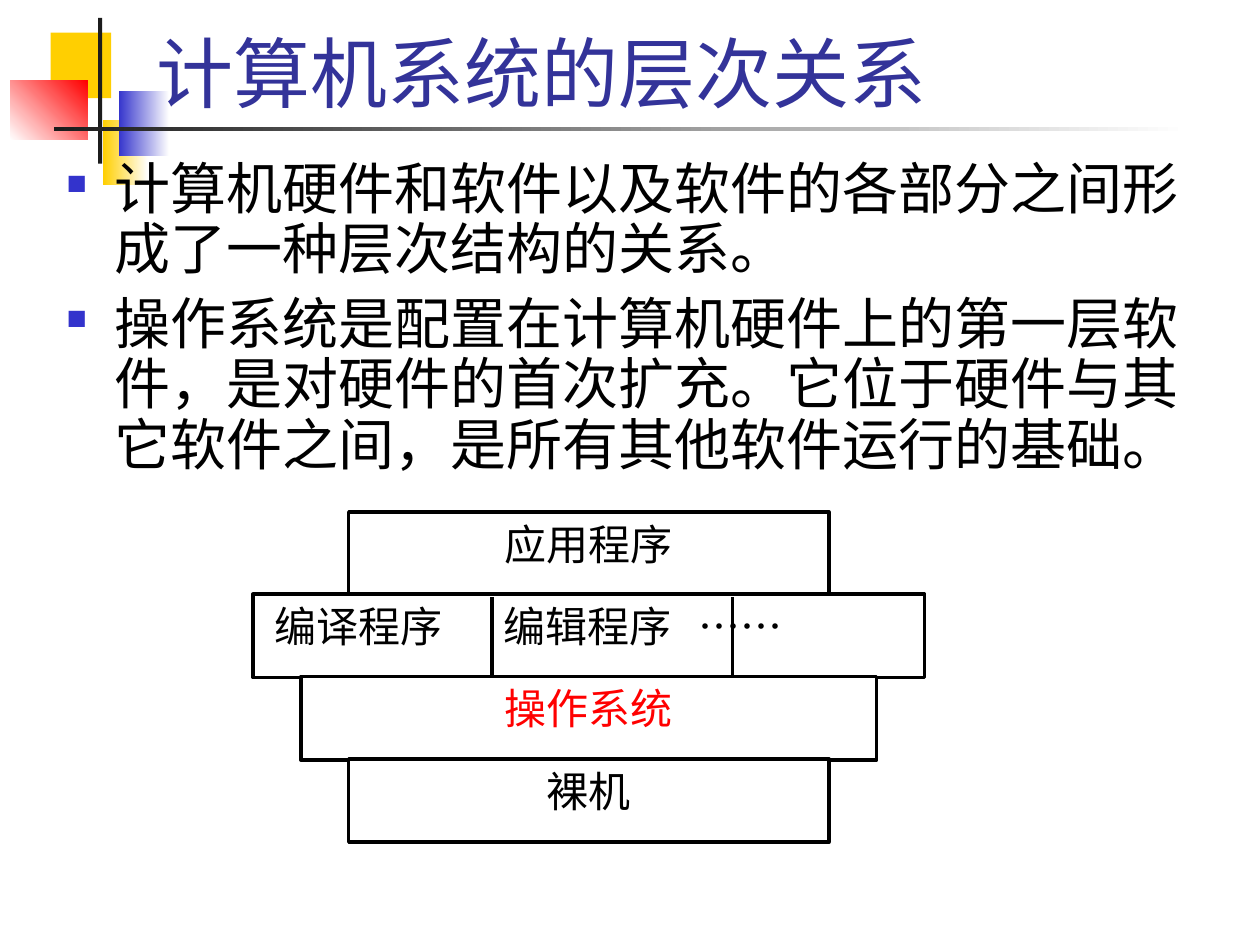
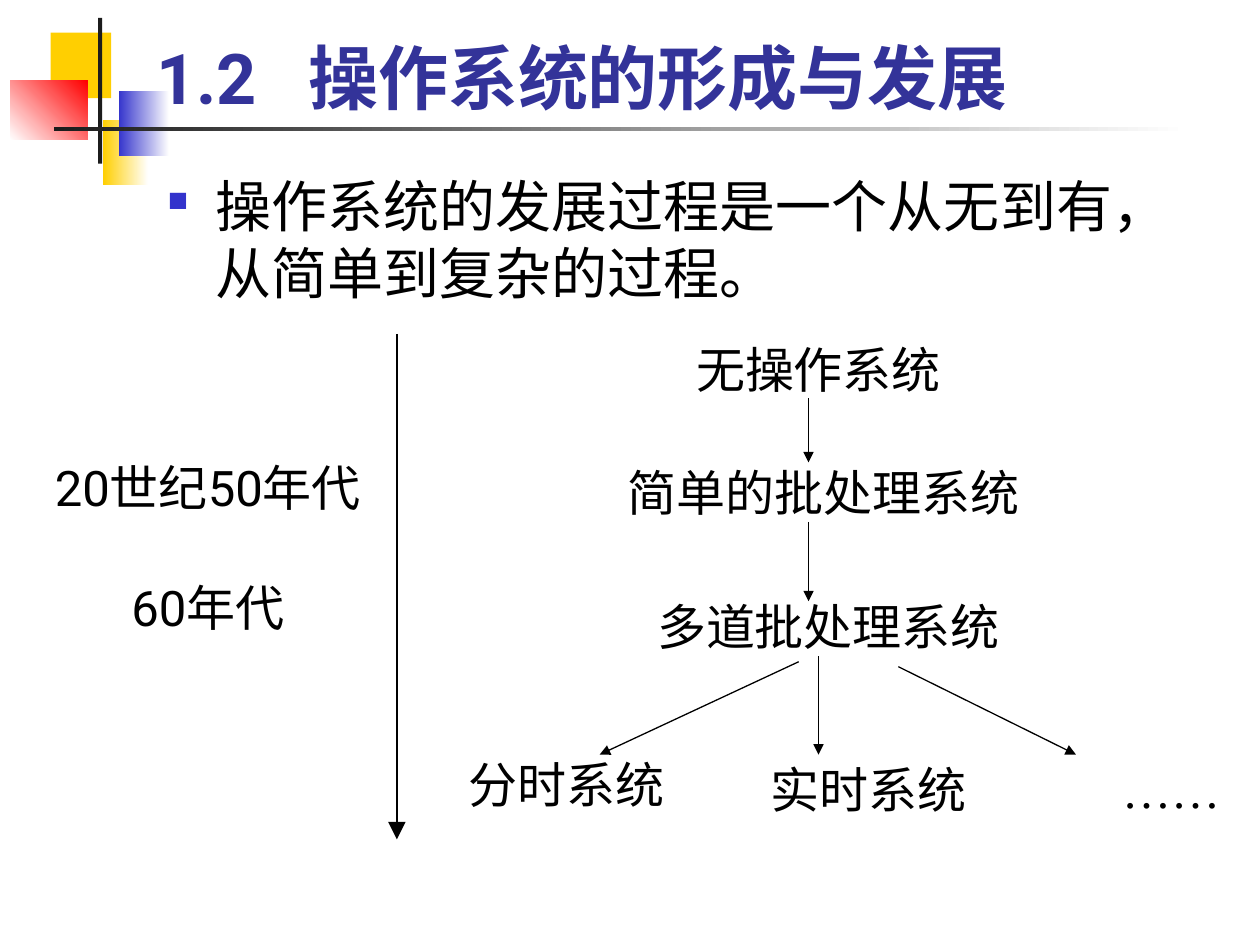
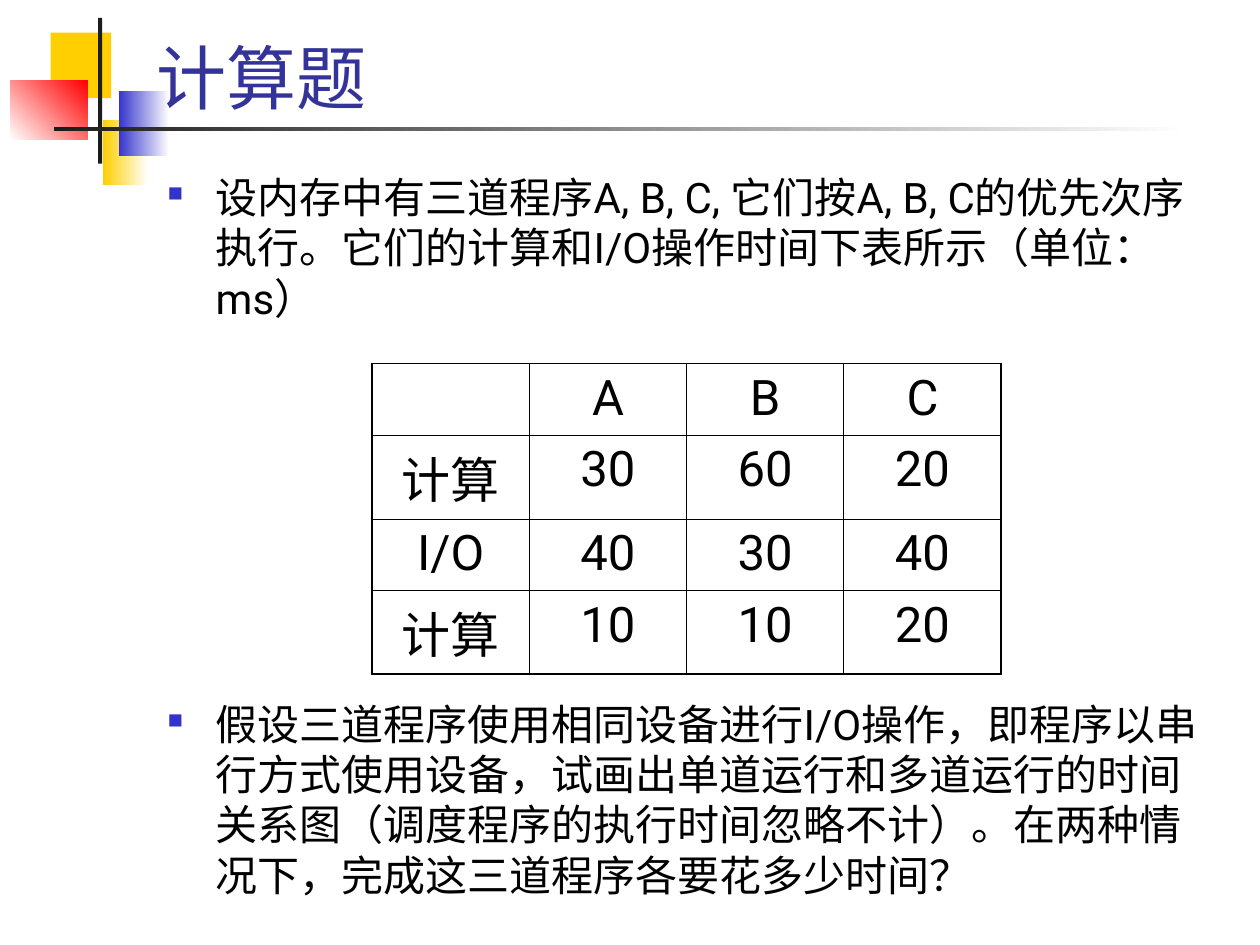
from lxml import etree
from pptx import Presentation
from pptx.dml.color import RGBColor
from pptx.enum.shapes import MSO_CONNECTOR, MSO_SHAPE
from pptx.enum.text import MSO_ANCHOR, MSO_AUTO_SIZE, PP_ALIGN
from pptx.oxml.ns import qn
from pptx.util import Cm, Pt

RECTANGLE = MSO_SHAPE.RECTANGLE
STRAIGHT = MSO_CONNECTOR.STRAIGHT
CENTER, LEFT = PP_ALIGN.CENTER, PP_ALIGN.LEFT
TOP, MIDDLE, BOTTOM = MSO_ANCHOR.TOP, MSO_ANCHOR.MIDDLE, MSO_ANCHOR.BOTTOM

SANS, CHINESE, SERIF = "Roboto", "Noto Sans CJK SC", "Times New Roman"
BLACK, WHITE, RED = "000000", "FFFFFF", "FF0000"
YELLOW, BLUE, NAVY, CHARCOAL = "FFCF01", "3333CC", "333399", "1C1C1C"
TITLE_BOX = (2.9, 0.53, 21.82, 1.98)
ORNAMENTS = [
    ((1.02, 0.66, 1.22, 1.32), [YELLOW], 0),
    ((2.08, 2.41, 0.91, 1.32), [YELLOW, WHITE], 0),
    ((2.39, 1.83, 1.02, 1.32), [BLUE, WHITE], 0),
    ((0.21, 1.63, 1.56, 1.19), [WHITE, RED], 45),
    ((1.98, 0.36, 0.08, 2.94), [CHARCOAL], 0),
    ((1.09, 2.57, 22.86, 0.08), [CHARCOAL, WHITE], 0),
]


def color(value):
    """Turn a hex string into a colour."""
    return RGBColor.from_string(value)


def lengths(values):
    """Turn numbers into lengths in centimetres."""
    return [Cm(value) for value in values]


def add_element(parent, tag, **attributes):
    """Append a drawing element with the given attributes."""
    return etree.SubElement(parent, qn(tag), attributes)


def format_runs(paragraph, size, latin=SANS, asian=SANS, fill=BLACK, bold=False):
    """Give every run of a paragraph its fonts, size and colour."""
    for run in paragraph.runs:
        font = run.font
        font.size, font.bold, font.name = Pt(size), bold, latin
        font.color.rgb = color(fill)
        add_element(run._r.get_or_add_rPr(), "a:ea", typeface=asian)


def set_tabs(paragraph, positions):
    """Set left tab stops in centimetres."""
    tabs = add_element(paragraph._p.get_or_add_pPr(), "a:tabLst")
    for position in positions:
        add_element(tabs, "a:tab", pos=str(Cm(position)), algn="l")


def set_bullet(paragraph):
    """Give a paragraph a hanging blue square."""
    properties = paragraph._p.get_or_add_pPr()
    properties.set("marL", str(Cm(0.97)))
    properties.set("indent", str(-Cm(0.97)))
    properties.set("hangingPunct", "0")
    bullet_color = add_element(properties, "a:buClr")
    add_element(bullet_color, "a:srgbClr", val=BLUE)
    add_element(properties, "a:buSzPct", val="50000")
    add_element(properties, "a:buChar", char="■")


def add_rectangle(slide, box, colors, angle=0):
    """Draw a plain or gradient rectangle without outline."""
    shape = slide.shapes.add_shape(RECTANGLE, *lengths(box))
    shape.shadow.inherit = False
    shape.line.fill.background()
    if len(colors) == 1:
        shape.fill.solid()
        shape.fill.fore_color.rgb = color(colors[0])
    else:
        shape.fill.gradient()
        shape.fill.gradient_angle = angle
        for stop, value in zip(shape.fill.gradient_stops, colors):
            stop.color.rgb = color(value)
    return shape


def add_line(slide, ends, width, head=None):
    """Draw a straight black line, with an arrowhead of the size asked for."""
    line = slide.shapes.add_connector(STRAIGHT, *lengths(ends))
    line.line.width = Pt(width)
    line.line.color.rgb = color(BLACK)
    if head:
        add_element(line.line._get_or_add_ln(), "a:tailEnd", type="triangle", w=head, len=head)
    add_element(line.element.spPr, "a:effectLst")


def decorate_layout(slide):
    """Build the ornaments and move them to the layout all slides share."""
    for box, colors, angle in ORNAMENTS:
        shape = add_rectangle(slide, box, colors, angle)
        slide.slide_layout.shapes.element.append(shape.element)


def add_title_slide(presentation, text, size=40, latin=SANS, bold=False):
    """Add a slide and format its title."""
    slide = presentation.slides.add_slide(presentation.slide_layouts[5])
    title = slide.shapes.title
    title.left, title.top, title.width, title.height = lengths(TITLE_BOX)
    frame = title.text_frame
    frame.text = text
    frame.word_wrap = True
    frame.auto_size = MSO_AUTO_SIZE.NONE
    frame.vertical_anchor = BOTTOM
    paragraph = frame.paragraphs[0]
    paragraph.alignment = LEFT
    if "\t" in text:
        set_tabs(paragraph, [3.06])
    format_runs(paragraph, size, latin, SANS, NAVY, bold)
    return slide


def add_bullets(slide, box, texts, size, spacing=1.0):
    """Write bulleted paragraphs in a box."""
    frame = slide.shapes.add_textbox(*lengths(box)).text_frame
    frame.word_wrap = True
    frame.text = "\n".join(texts)
    for index, paragraph in enumerate(frame.paragraphs):
        paragraph.line_spacing = spacing
        paragraph.space_before = Pt(8 if index else 0)
        set_bullet(paragraph)
        format_runs(paragraph, size)


def add_label(slide, center_x, center_y, text, font=SANS):
    """Write one unwrapped line centred on a point."""
    width, height = len(text) + 0.8, 0.99
    box = (center_x - width / 2, center_y - height / 2, width, height)
    frame = slide.shapes.add_textbox(*lengths(box)).text_frame
    frame.word_wrap = False
    frame.vertical_anchor = MIDDLE
    frame.text = text
    frame.paragraphs[0].alignment = CENTER
    format_runs(frame.paragraphs[0], 28, font, font)


def add_layer_stack(slide, left, top, width):
    """Stack the layers of a computer system, centred in the given width."""
    layers = [
        ("应用程序", 9.68, BLACK),
        ("编译程序\t编辑程序\t……", width, BLACK),
        ("操作系统", 11.61, RED),
        ("裸机", 9.68, BLACK),
    ]
    step, height = 1.66, 1.68
    for index, (text, layer_width, fill) in enumerate(layers):
        box = (left + (width - layer_width) / 2, top + index * step, layer_width, height)
        shape = add_rectangle(slide, box, [WHITE])
        shape.line.color.rgb = color(BLACK)
        shape.line.width = Pt(2)
        frame = shape.text_frame
        frame.vertical_anchor = TOP
        frame.text = text
        paragraph = frame.paragraphs[0]
        paragraph.alignment = CENTER
        if "\t" in text:
            paragraph.alignment = LEFT
            frame.margin_left = Cm(0.43)
            set_tabs(paragraph, [4.62, 8.56])
        format_runs(paragraph, 24, CHINESE, CHINESE, fill)
    for offset in (4.82, 9.67):
        x = left + offset
        add_line(slide, (x, top + step + 0.05, x, top + 2 * step), 2)


def add_evolution_flow(slide, left, top):
    """Draw how operating systems grew from none to several kinds."""
    labels = [
        (7.8, 0.43, "无操作系统", SANS),
        (7.9, 2.92, "简单的批处理系统", SANS),
        (8, 5.61, "多道批处理系统", SANS),
        (2.72, 8.81, "分时系统", SANS),
        (8.81, 8.91, "实时系统", SANS),
        (14.91, 8.91, "……", SERIF),
    ]
    arrows = [
        (7.6, 1.03, 7.6, 2.32),
        (7.6, 3.52, 7.6, 5.12),
        (7.4, 6.34, 3.39, 8.21),
        (7.8, 6.23, 7.8, 8.21),
        (9.41, 6.44, 12.99, 8.21),
    ]
    for x, y, text, font in labels:
        add_label(slide, left + x, top + y, text, font)
    for x1, y1, x2, y2 in arrows:
        add_line(slide, (left + x1, top + y1, left + x2, top + y2), 0.75, "med")


def add_timeline(slide, left, top):
    """Draw the time arrow with its decades on the left."""
    axis = left + 6.4
    add_line(slide, (axis, top, axis, top + 10.19), 1.5, "lg")
    add_label(slide, left + 2.59, top + 3.09, "20世纪50年代")
    add_label(slide, left + 2.59, top + 5.5, "60年代")


def set_borders(cell, thick_sides):
    """Draw a cell's borders, heavier on the given sides."""
    properties = cell._tc.get_or_add_tcPr()
    for side in "LRTB":
        width = Pt(1.08 if side in thick_sides else 0.45)
        border = add_element(properties, "a:ln" + side, w=str(width))
        fill = add_element(border, "a:solidFill")
        add_element(fill, "a:srgbClr", val=BLACK)


def add_time_table(slide, box):
    """Add the table of computing and I/O times."""
    rows = [
        ["", "A", "B", "C"],
        ["计算", "30", "60", "20"],
        ["I/O", "40", "30", "40"],
        ["计算", "10", "10", "20"],
    ]
    last = len(rows) - 1
    table = slide.shapes.add_table(len(rows), len(rows[0]), *lengths(box)).table
    table.first_row = table.horz_banding = False
    for row_index, row in enumerate(rows):
        table.rows[row_index].height = Cm(1.69 if row[0] == "计算" else 1.43)
        for column_index, text in enumerate(row):
            cell = table.cell(row_index, column_index)
            edges = {"L": column_index == 0, "R": column_index == last,
                     "T": row_index == 0, "B": row_index == last}
            set_borders(cell, [side for side, outer in edges.items() if outer])
            cell.fill.background()
            cell.text = text
            paragraph = cell.text_frame.paragraphs[0]
            paragraph.alignment = CENTER
            format_runs(paragraph, 28, SANS, CHINESE)


def build_layers_slide(presentation):
    """Build the slide on the layers of a computer system."""
    slide = add_title_slide(presentation, "计算机系统的层次关系", 44, SERIF)
    decorate_layout(slide)
    add_bullets(slide, (1.09, 3.12, 23.6, 7.11), [
        "计算机硬件和软件以及软件的各部分之间形成了一种层次结构的关系。",
        "操作系统是配置在计算机硬件上的第一层软件，是对硬件的首次扩充。"
        "它位于硬件与其它软件之间，是所有其他软件运行的基础。",
    ], 32, 0.9)
    add_layer_stack(slide, 5.1, 10.32, 13.54)


def build_history_slide(presentation):
    """Build the slide on the growth of operating systems."""
    slide = add_title_slide(presentation, "1.2\t操作系统的形成与发展", bold=True)
    add_bullets(slide, (3.13, 3.33, 21.59, 3),
                ["操作系统的发展过程是一个从无到有，从简单到复杂的过程。"], 32)
    add_evolution_flow(slide, 8.7, 7)
    add_timeline(slide, 1.6, 6.73)


def build_exercise_slide(presentation):
    """Build the slide with the scheduling exercise."""
    slide = add_title_slide(presentation, "计算题")
    add_bullets(slide, (3.13, 3.33, 21.46, 3.9), [
        "设内存中有三道程序A, B, C, 它们按A, B, C的优先次序执行。"
        "它们的计算和I/O操作时间下表所示（单位：ms）"], 24)
    add_bullets(slide, (3.13, 13.95, 21.46, 4.5), [
        "假设三道程序使用相同设备进行I/O操作，即程序以串行方式使用设备，"
        "试画出单道运行和多道运行的时间关系图（调度程序的执行时间忽略不计）。"
        "在两种情况下，完成这三道程序各要花多少时间？"], 24)
    add_time_table(slide, (7.5, 7.33, 12.68, 6.24))


def main():
    """Build the presentation and save it."""
    presentation = Presentation()
    presentation.slide_width, presentation.slide_height = Cm(25.4), Cm(19.05)
    build_layers_slide(presentation)
    build_history_slide(presentation)
    build_exercise_slide(presentation)
    presentation.save("out.pptx")


if __name__ == "__main__":
    main()
